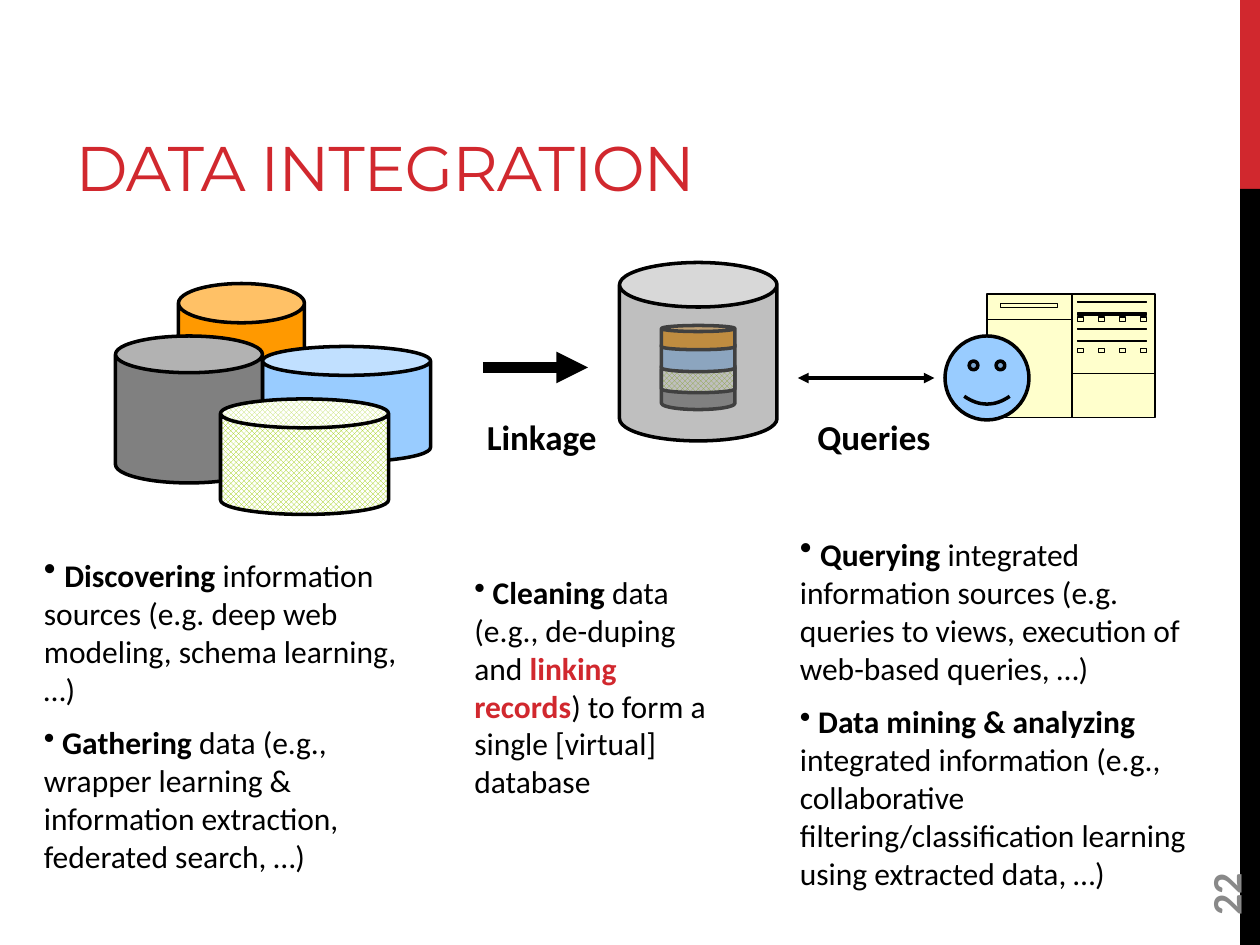
from lxml import etree
from pptx import Presentation
from pptx.dml.color import RGBColor
from pptx.enum.dml import MSO_PATTERN
from pptx.enum.shapes import MSO_CONNECTOR, MSO_SHAPE
from pptx.enum.text import MSO_ANCHOR, PP_ALIGN
from pptx.oxml.ns import qn
from pptx.util import Pt

PX = 7620
BODY_FONT = "Calibri"
TITLE_FONT = "Montserrat"

BLACK = RGBColor(0x00, 0x00, 0x00)
WHITE = RGBColor(0xFF, 0xFF, 0xFF)
RED = RGBColor(0xD1, 0x28, 0x2E)
GRAY = RGBColor(0x80, 0x80, 0x80)
LIGHT_GRAY = RGBColor(0x89, 0x89, 0x89)
ORANGE = RGBColor(0xFF, 0x99, 0x00)
BLUE = RGBColor(0x99, 0xCC, 0xFF)
LIME = RGBColor(0x99, 0xCC, 0x00)
CREAM = RGBColor(0xFF, 0xFF, 0xCC)

RECTANGLE = MSO_SHAPE.RECTANGLE
CAN = MSO_SHAPE.CAN
SMILEY = MSO_SHAPE.SMILEY_FACE
STRAIGHT = MSO_CONNECTOR.STRAIGHT
TRELLIS = MSO_PATTERN.TRELLIS
LEFT = PP_ALIGN.LEFT
RIGHT = PP_ALIGN.RIGHT
MIDDLE = MSO_ANCHOR.MIDDLE
BOTTOM = MSO_ANCHOR.BOTTOM


def write(paragraph, text, size=18, bold=False, color=BLACK, font=BODY_FONT):
    run = paragraph.add_run()
    run.text = text
    run.font.name = font
    run.font.size = Pt(size)
    run.font.bold = bold
    run.font.color.rgb = color
    return run


def box_outline(left, top, right, bottom):
    return [(left, top), (right, top), (right, bottom), (left, bottom)]


class SlideBuilder:
    def __init__(self, slide):
        self.slide = slide
        self.shapes = slide.shapes

    def place(self, shape, box):
        shape.left, shape.top, shape.width, shape.height = [value * PX for value in box]

    def title(self, text, box):
        title = self.shapes.title
        self.place(title, box)
        title.text_frame.vertical_anchor = BOTTOM
        paragraph = title.text_frame.paragraphs[0]
        paragraph.alignment = LEFT
        run = write(paragraph, text, size=36, color=RED, font=TITLE_FONT)
        run.font._element.set("spc", "-60")

    def shape(self, kind, box, fill, line=2, adjustment=None, alpha=None):
        shape = self.shapes.add_shape(kind, *[value * PX for value in box])
        shape.shadow.inherit = False
        if adjustment is not None:
            shape.adjustments[0] = adjustment
        shape.fill.solid()
        shape.fill.fore_color.rgb = fill
        if alpha is not None:
            color = shape._element.spPr.find(f"{qn('a:solidFill')}/{qn('a:srgbClr')}")
            etree.SubElement(color, qn("a:alpha")).set("val", str(alpha * 1000))
        if line:
            shape.line.color.rgb = BLACK
            shape.line.width = Pt(line)
        else:
            shape.line.fill.background()
        return shape

    def database(self, box, fill, adjustment=0.25, alpha=None):
        return self.shape(CAN, box, fill, adjustment=adjustment, alpha=alpha)

    def trellis_database(self, box):
        fill = self.database(box, WHITE).fill
        fill.patterned()
        fill.pattern = TRELLIS
        fill.fore_color.rgb = LIME
        fill.back_color.rgb = WHITE

    def line_drawing(self, open_outlines, closed_outlines):
        outlines = [(points, False) for points in open_outlines]
        outlines += [(points, True) for points in closed_outlines]
        builder = self.shapes.build_freeform(*outlines[0][0][0], scale=PX)
        for index, (points, closed) in enumerate(outlines):
            if index:
                builder.move_to(*points[0])
            builder.add_line_segments(points[1:], close=closed)
        shape = builder.convert_to_shape()
        shape.shadow.inherit = False
        shape.fill.background()
        shape.line.color.rgb = BLACK
        shape.line.width = Pt(0.75)

    def arrow(self, start, end, width, ends):
        points = [value * PX for value in start + end]
        connector = self.shapes.add_connector(STRAIGHT, *points)
        connector.line.color.rgb = BLACK
        connector.line.width = Pt(width)
        properties = connector._element.spPr
        for name in ends:
            etree.SubElement(properties.find(qn("a:ln")), qn(name)).set("type", "triangle")
        etree.SubElement(properties, qn("a:effectLst"))

    def text_box(self, box):
        shape = self.shapes.add_textbox(*[value * PX for value in box])
        shape.text_frame.word_wrap = True
        return shape

    def label(self, text, box):
        paragraph = self.text_box(box).text_frame.paragraphs[0]
        paragraph.alignment = RIGHT
        write(paragraph, text, size=20, bold=True)

    def page_number(self, text, box):
        shape = self.text_box(box)
        shape.rotation = 270
        shape.text_frame.vertical_anchor = MIDDLE
        write(shape.text_frame.paragraphs[0], text, size=24, bold=True, color=LIGHT_GRAY)

    def bullets(self, box, items, first_size=20):
        frame = self.text_box(box).text_frame
        for index, runs in enumerate(items):
            paragraph = frame.add_paragraph() if index else frame.paragraphs[0]
            properties = paragraph._p.get_or_add_pPr()
            properties.set("marL", "0")
            properties.set("indent", "0")
            etree.SubElement(properties, qn("a:buChar")).set("char", "•")
            if index:
                paragraph.space_before = Pt(9)
            write(paragraph, " ", size=18 if index else first_size)
            for text, style in runs:
                write(paragraph, text, **style)


def main():
    presentation = Presentation()
    presentation.slide_width = 1200 * PX
    presentation.slide_height = 900 * PX
    builder = SlideBuilder(presentation.slides.add_slide(presentation.slide_layouts[5]))
    plain, bold = {}, {"bold": True}

    builder.shape(RECTANGLE, (1181, 0, 19, 180), RED, line=0)
    builder.shape(RECTANGLE, (1181, 180, 19, 720), BLACK, line=0)
    builder.page_number("22", (1080, 773, 173, 48))
    builder.title("DATA INTEGRATION", (60, 20, 760, 180))

    builder.database((170, 270, 120, 150), ORANGE, adjustment=0.312)
    builder.database((250, 330, 160, 110), BLUE)
    builder.database((110, 320, 140, 140), GRAY)
    builder.trellis_database((210, 380, 160, 110))
    builder.bullets((30, 520, 380, 323), [
        [("Discovering", bold),
         (" information sources (e.g. deep web modeling, schema learning, …)", plain)],
        [("Gathering", bold),
         (" data (e.g., wrapper learning & information extraction, federated search, …)", plain)],
    ])

    builder.shape(RECTANGLE, (940, 280, 160, 118), CREAM, line=0.75)
    dividers = [
        [(940, 304), (1021, 304), (1021, 356), (1100, 356)],
        [(1021, 280), (1021, 398)],
    ]
    name_field = box_outline(953, 289, 1007, 293)
    bars = [box_outline(1026, top, 1092, top + height)
            for top, height in ((287, 1), (298, 2), (313, 1), (324, 1))]
    buttons = [box_outline(left, top, left + 6, top + 4)
               for top in (302, 332) for left in range(1026, 1087, 20)]
    builder.line_drawing(dividers, [name_field] + bars + buttons)
    builder.shape(SMILEY, (900, 320, 80, 80), BLUE)
    builder.label("Queries", (750, 390, 148, 52))
    builder.arrow((890, 360), (760, 360), 2, ("a:headEnd", "a:tailEnd"))
    builder.bullets((750, 500, 420, 359), [
        [("Querying", bold),
         (" integrated information sources (e.g. queries to views, execution of "
          "web-based queries, …)", plain)],
        [("Data mining & analyzing ", bold),
         ("integrated information (e.g., collaborative filtering/classification learning "
          "using extracted data, …)", plain)],
    ])

    builder.database((630, 345, 70, 45), GRAY, adjustment=0.266)
    builder.trellis_database((630, 345, 70, 29))
    builder.database((630, 325, 70, 29), BLUE)
    builder.database((630, 310, 70, 23), ORANGE)
    builder.database((590, 250, 150, 170), GRAY, adjustment=0.283, alpha=50)
    builder.arrow((460, 350), (560, 350), 6, ("a:tailEnd",))
    builder.label("Linkage", (430, 390, 150, 52))
    builder.bullets((440, 540, 250, 228), [
        [("Cleaning", bold),
         (" data (e.g., de-duping and ", plain),
         ("linking records", {"bold": True, "color": RED}),
         (") to form a single [virtual] database", plain)],
    ], first_size=18)

    presentation.save("out.pptx")


if __name__ == "__main__":
    main()
